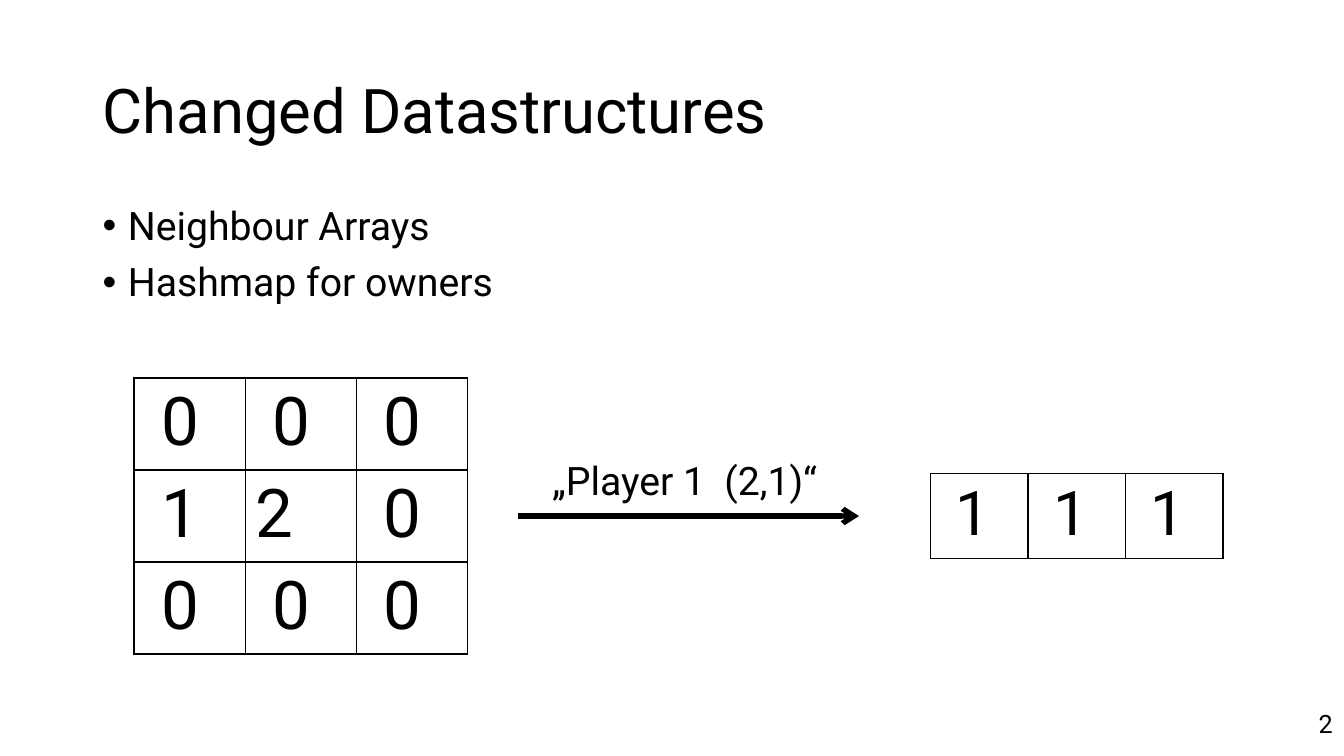
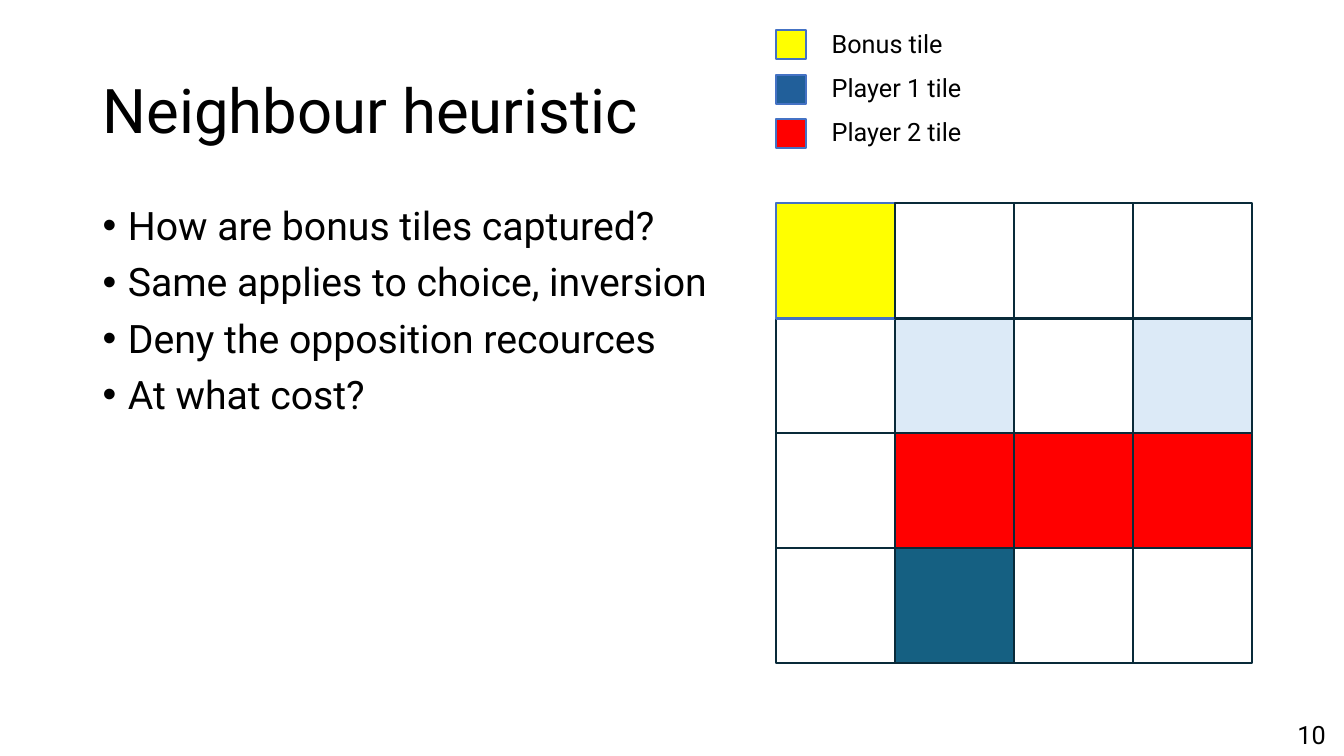
"""Build two slides on game data structures and the neighbour heuristic."""
from dataclasses import dataclass

from lxml import etree
from pptx import Presentation
from pptx import util as u
from pptx.dml.color import RGBColor
from pptx.enum import shapes, text
from pptx.oxml import ns
from pptx.slide import Slide


@dataclass(frozen=True)
class Theme:
    font: str = "Roboto"
    black: str = "000000"
    white: str = "FFFFFF"
    yellow: str = "FFFF00"
    red: str = "FF0000"
    pale: str = "DCEAF7"
    teal: str = "156082"
    blue: str = "215F9A"
    accent_line: str = "4472C4"
    tile_line: str = "092A39"
    title_size: int = 44
    body_size: int = 28
    small_size: int = 18


@dataclass(frozen=True)
class Box:
    left: float
    top: float
    width: float
    height: float

    def lengths(self) -> tuple[u.Length, ...]:
        return tuple(u.Inches(n) for n in (self.left, self.top, self.width, self.height))


@dataclass(frozen=True)
class NumberGrid:
    box: Box
    rows: tuple[str, ...]
    size: int
    indent: float
    flush: str = ""


@dataclass(frozen=True)
class LegendEntry:
    label: str
    fill: str


THEME = Theme()
TITLE_BOX = Box(0.92, 0.4, 11.5, 1.45)
BODY_BOX = Box(0.92, 2, 11.5, 4.76)
CELL_MARGIN = 0.1

NUMBER_GRIDS = (
    NumberGrid(Box(1.33, 3.75, 3.31, 2.74), ("000", "120", "000"), 48, 0.17, flush="2"),
    NumberGrid(Box(9.23, 4.7, 2.9, 0.84), ("111",), 44, 0.15),
)
LEGEND = (
    LegendEntry("Bonus tile", THEME.yellow),
    LegendEntry("Player 1 tile", THEME.blue),
    LegendEntry("Player 2 tile", THEME.red),
)
TILE_FILLS = {"Y": THEME.yellow, ".": THEME.white, "P": THEME.pale, "R": THEME.red, "T": THEME.teal}
TILE_ROWS = ("Y...", ".P.P", ".RRR", ".T..")


def write_text(frame, *lines: str, size: int, spacing: float | None = None,
               before: int = 0, bullet: bool = False) -> None:
    """Write one paragraph per line in the theme font."""
    for index, line in enumerate(lines):
        paragraph = frame.add_paragraph() if index else frame.paragraphs[0]
        if spacing:
            paragraph.line_spacing = spacing
        if before:
            paragraph.space_before = u.Pt(before)
        if bullet:
            properties = paragraph._p.get_or_add_pPr()
            properties.set("marL", str(u.Inches(0.25)))
            properties.set("indent", str(u.Inches(-0.25)))
            etree.SubElement(properties, ns.qn("a:buFont"), typeface="Arial")
            etree.SubElement(properties, ns.qn("a:buChar"), char="•")
        run = paragraph.add_run()
        run.text = line
        run.font.name = THEME.font
        run.font.size = u.Pt(size)
        run.font.color.rgb = RGBColor.from_string(THEME.black)


def add_text(slide: Slide, box: Box, *lines: str, wrap: bool = True,
             anchor=text.MSO_ANCHOR.TOP, **text_format) -> None:
    """Add a text box with formatted lines."""
    frame = slide.shapes.add_textbox(*box.lengths()).text_frame
    frame.word_wrap = wrap
    frame.vertical_anchor = anchor
    write_text(frame, *lines, **text_format)


def add_content_slide(presentation, title: str, bullets: tuple[str, ...],
                      number: str, number_box: Box) -> Slide:
    """Add a slide with its title, bullets and page number."""
    slide = presentation.slides.add_slide(presentation.slide_layouts[6])
    add_text(slide, TITLE_BOX, title, size=THEME.title_size, spacing=0.9,
             anchor=text.MSO_ANCHOR.MIDDLE)
    add_text(slide, BODY_BOX, *bullets, size=THEME.body_size, spacing=0.9,
             before=10, bullet=True)
    add_text(slide, number_box, number, size=THEME.small_size)
    return slide


def add_borders(cell) -> None:
    """Draw a thin line on all four sides of a table cell."""
    properties = cell._tc.get_or_add_tcPr()
    for index, side in enumerate("LRTB"):
        line = etree.Element(ns.qn(f"a:ln{side}"), w=str(u.Pt(1)))
        fill = etree.SubElement(line, ns.qn("a:solidFill"))
        etree.SubElement(fill, ns.qn("a:srgbClr"), val=THEME.black)
        properties.insert(index, line)


def add_number_grid(slide: Slide, grid: NumberGrid) -> None:
    """Add a plain table with one digit in each cell."""
    frame = slide.shapes.add_table(len(grid.rows), len(grid.rows[0]), *grid.box.lengths())
    table = frame.table
    table.first_row = table.horz_banding = False
    for row, digits in enumerate(grid.rows):
        for column, digit in enumerate(digits):
            cell = table.cell(row, column)
            cell.fill.background()
            indent = 0 if digit == grid.flush else grid.indent
            cell.margin_left = u.Inches(CELL_MARGIN + indent)
            write_text(cell.text_frame, digit, size=grid.size)
            add_borders(cell)


def add_arrow(slide: Slide, left: float, right: float, top: float) -> None:
    """Add a thick horizontal arrow pointing right."""
    arrow = slide.shapes.add_connector(shapes.MSO_CONNECTOR.STRAIGHT, u.Inches(left),
                                       u.Inches(top), u.Inches(right), u.Inches(top))
    arrow.line.color.rgb = RGBColor.from_string(THEME.black)
    arrow.line.width = u.Pt(3.75)
    etree.SubElement(arrow.line._get_or_add_ln(), ns.qn("a:tailEnd"), type="arrow")
    etree.SubElement(arrow._element.spPr, ns.qn("a:effectLst"))


def add_tile(slide: Slide, box: Box, fill: str, line: str) -> None:
    """Add a filled rectangle with an outline."""
    shape = slide.shapes.add_shape(shapes.MSO_SHAPE.RECTANGLE, *box.lengths())
    shape.shadow.inherit = False
    shape.fill.solid()
    shape.fill.fore_color.rgb = RGBColor.from_string(fill)
    shape.line.color.rgb = RGBColor.from_string(line)
    shape.line.width = u.Pt(1.5)


def add_board(slide: Slide, left: float, top: float) -> None:
    """Draw the tile board from the bottom row up."""
    for row, codes in reversed(tuple(enumerate(TILE_ROWS))):
        for column, code in enumerate(codes):
            box = Box(left + 1.18 * column, top + 1.14 * row, 1.18, 1.15)
            line = THEME.accent_line if code == "Y" else THEME.tile_line
            add_tile(slide, box, TILE_FILLS[code], line)


def add_legend(slide: Slide, left: float, top: float) -> None:
    """Draw the colour key of the board."""
    for index, entry in enumerate(LEGEND):
        row_top = top + 0.44 * index
        add_tile(slide, Box(left, row_top, 0.29, 0.29), entry.fill, THEME.accent_line)
        add_text(slide, Box(left + 0.45, row_top - 0.07, 1.61, 0.4), entry.label,
                 size=THEME.small_size)


def build_datastructures(presentation) -> None:
    """Build the slide on changed data structures."""
    slide = add_content_slide(presentation, "Changed Datastructures",
                              ("Neighbour Arrays", "Hashmap for owners"),
                              "2", Box(12.98, 6.98, 0.34, 0.4))
    for grid in NUMBER_GRIDS:
        add_number_grid(slide, grid)
    add_arrow(slide, 5.14, 8.52, 5.12)
    add_text(slide, Box(5.38, 4.48, 2.9, 0.57), "„Player 1  (2,1)“", size=THEME.body_size)


def build_heuristic(presentation) -> None:
    """Build the slide on the neighbour heuristic."""
    bullets = ("How are bonus tiles captured?", "Same applies to choice, inversion",
               "Deny the opposition recources", "At what cost?")
    slide = add_content_slide(presentation, "Neighbour heuristic", bullets,
                              "10", Box(12.77, 7.09, 0.56, 0.4))
    add_board(slide, 7.7, 2.01)
    add_legend(slide, 7.7, 0.3)


def main() -> None:
    """Build and save the presentation."""
    presentation = Presentation()
    presentation.slide_width = u.Inches(13.33)
    presentation.slide_height = u.Inches(7.5)
    build_datastructures(presentation)
    build_heuristic(presentation)
    presentation.save("out.pptx")


if __name__ == "__main__":
    main()
